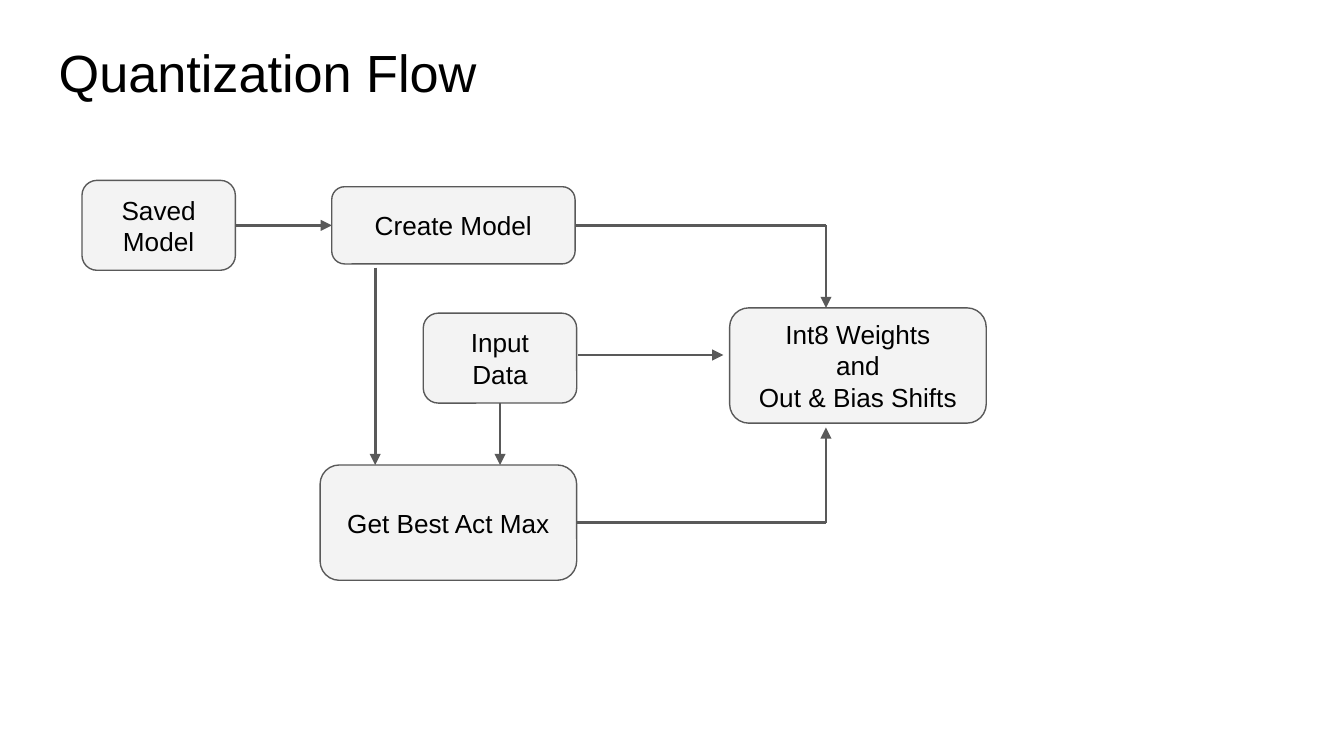
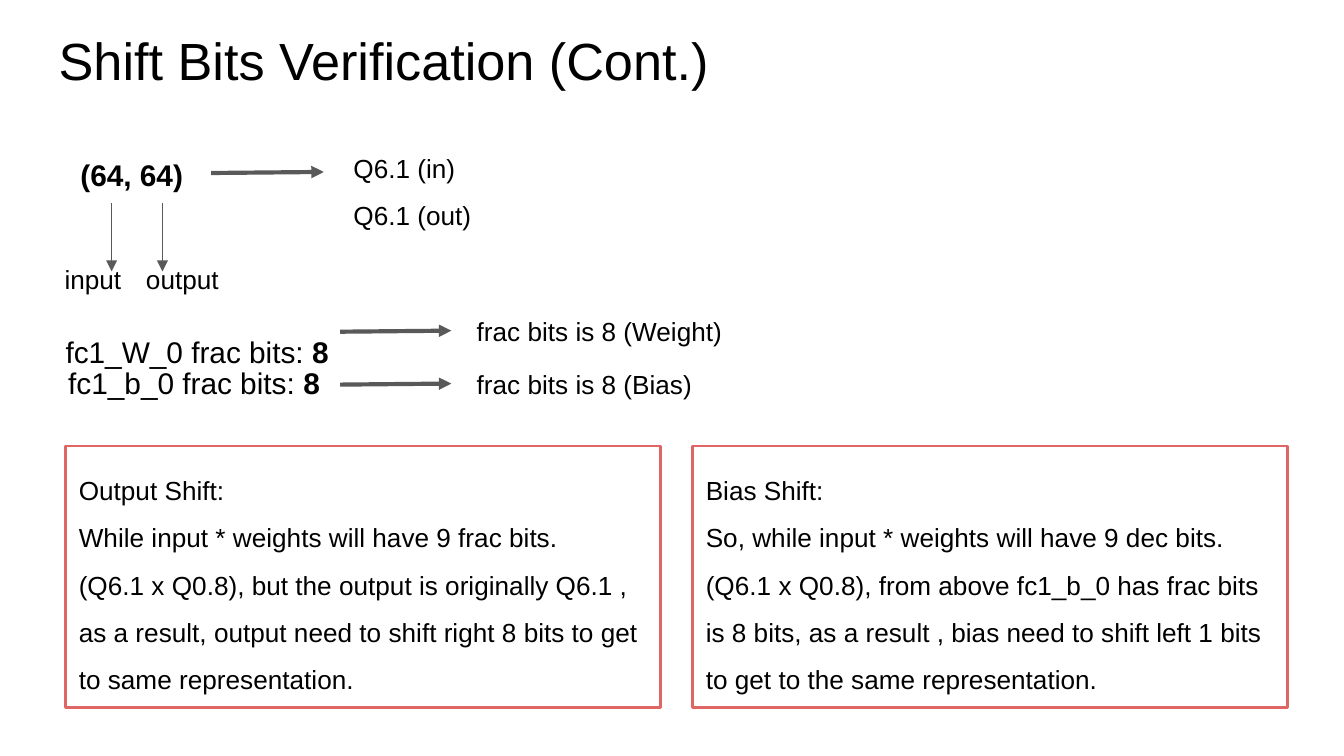
import dataclasses

import lxml.etree
import pptx
import pptx.dml.color
import pptx.enum.shapes
import pptx.enum.text
import pptx.oxml.ns
import pptx.util

Cm = pptx.util.Cm
Pt = pptx.util.Pt
qn = pptx.oxml.ns.qn
ALIGN = pptx.enum.text.PP_ALIGN
ANCHOR = pptx.enum.text.MSO_ANCHOR
SHAPE = pptx.enum.shapes.MSO_SHAPE
STRAIGHT = pptx.enum.shapes.MSO_CONNECTOR.STRAIGHT
TITLE_ONLY = 5
BOTTOM, LEFT, RIGHT = 2, 1, 3


@dataclasses.dataclass(frozen=True)
class Theme:
    font: str = "Arial"
    text: str = "000000"
    line: str = "595959"
    node: str = "F3F3F3"
    frame: str = "E06666"
    title_size: float = 28
    label_size: float = 16
    body_size: float = 14
    inset: float = 0.25
    spacing: float = 1.5


@dataclasses.dataclass(frozen=True)
class Box:
    """An area of the slide, in centimetres."""
    left: float
    top: float
    width: float
    height: float

    def inner(self, left, top, width, height):
        return Box(self.left + left, self.top + top, width, height)

    def point(self, x, y):
        return Cm(self.left + x), Cm(self.top + y)

    def lengths(self):
        return [Cm(value) for value in dataclasses.astuple(self)]


THEME = Theme()


def color(name):
    return pptx.dml.color.RGBColor.from_string(name)


# Shared parts
def write_text(shape, text, *, size=THEME.body_size, bold=False, bold_end="",
               align=ALIGN.LEFT, anchor=ANCHOR.TOP, spacing=None):
    """Write one paragraph per line of text; bold_end is a bold last run."""
    frame = shape.text_frame
    frame.text = text
    frame.word_wrap = True
    frame.auto_size = pptx.enum.text.MSO_AUTO_SIZE.NONE
    frame.vertical_anchor = anchor
    frame.margin_left = frame.margin_right = Cm(THEME.inset)
    frame.margin_top = frame.margin_bottom = Cm(THEME.inset)
    for paragraph in frame.paragraphs:
        paragraph.alignment = align
        if spacing:
            paragraph.line_spacing = spacing
        for run in paragraph.runs:
            run.font.bold = bold
    if bold_end:
        run = frame.paragraphs[-1].add_run()
        run.text = bold_end
        run.font.bold = True
    for paragraph in frame.paragraphs:
        for run in paragraph.runs:
            run.font.name = THEME.font
            run.font.size = Pt(size)
            run.font.color.rgb = color(THEME.text)


def add_text(slide, box, text, **text_format):
    write_text(slide.shapes.add_textbox(*box.lengths()), text, **text_format)


def add_panel(shapes, kind, box, text, *, line, width, fill=None, **text_format):
    shape = shapes.add_shape(kind, *box.lengths())
    shape.shadow.inherit = False
    if fill:
        shape.fill.solid()
        shape.fill.fore_color.rgb = color(fill)
    else:
        shape.fill.background()
    shape.line.color.rgb = color(line)
    shape.line.width = Pt(width)
    write_text(shape, text, **text_format)
    return shape


def add_line(shapes, box, start, end, *, width=1.5, arrow=True,
             begin=None, finish=None):
    """Draw a line; begin and finish are (shape, side) pairs to join."""
    connector = shapes.add_connector(
        STRAIGHT, *box.point(*start), *box.point(*end))
    if begin:
        connector.begin_connect(*begin)
    if finish:
        connector.end_connect(*finish)
    connector.line.color.rgb = color(THEME.line)
    connector.line.width = Pt(width)
    properties = connector.element.spPr
    if arrow:
        lxml.etree.SubElement(
            properties.find(qn("a:ln")), qn("a:tailEnd"), type="triangle")
    lxml.etree.SubElement(properties, qn("a:effectLst"))


def add_titled_slide(presentation, text, top):
    slide = presentation.slides.add_slide(
        presentation.slide_layouts[TITLE_ONLY])
    title = slide.shapes.title
    title.left, title.top, title.width, title.height = Box(
        0.86, top, 23.67, 1.6).lengths()
    write_text(title, text, size=THEME.title_size)
    return slide


# Quantization flow
def add_flow(slide, box):
    shapes = slide.shapes.add_group_shape().shapes

    def node(text, *place):
        return add_panel(
            shapes, SHAPE.ROUNDED_RECTANGLE, box.inner(*place), text,
            line=THEME.line, width=0.75, fill=THEME.node,
            align=ALIGN.CENTER, anchor=ANCHOR.MIDDLE)

    small, large = (2.9, 1.7), (4.85, 2.18)
    saved_model = node("Saved Model", 0, 0, *small)
    create_model = node("Create Model", 4.72, 0.12, 4.6, 1.46)
    input_data = node("Input Data", 6.45, 2.51, *small)
    best_max = node("Get Best Act Max", 4.5, 5.38, *large)
    node("Int8 Weights\vand\vOut & Bias Shifts", 12.24, 2.41, *large)

    turn = 14.06
    add_line(shapes, box, (2.9, 0.85), (4.72, 0.85),
             begin=(saved_model, RIGHT), finish=(create_model, LEFT))
    add_line(shapes, box, (5.54, 1.65), (5.54, 5.38))
    add_line(shapes, box, (7.9, 4.21), (7.9, 5.38),
             begin=(input_data, BOTTOM))
    add_line(shapes, box, (9.37, 3.3), (12.12, 3.3))
    # Bent routes into the result
    for source, x, y, end in ((create_model, 9.32, 0.85, 2.41),
                              (best_max, 9.35, 6.47, 4.67)):
        add_line(shapes, box, (x, y), (turn, y), arrow=False,
                 begin=(source, RIGHT))
        add_line(shapes, box, (turn, y), (turn, end))


# Shift bits verification
def add_formats(slide, box):
    add_text(slide, box.inner(0.3, 0.38, 2.72, 1.12), "(64, 64)",
             size=THEME.label_size, bold=True)
    add_line(slide.shapes, box, (3.02, 0.93), (5.15, 0.91), width=2.25)
    add_text(slide, box.inner(5.46, 0, 7.14, 2.13), "Q6.1 (in)\nQ6.1 (out)",
             spacing=THEME.spacing)
    for name, left, arrow_x in (("input", 0, 1.14), ("output", 1.54, 2.1)):
        add_line(slide.shapes, box, (arrow_x, 1.5), (arrow_x, 2.79), width=0.75)
        add_text(slide, box.inner(left, 2.38, 2.36, 1.12), name)


def add_fraction_bits(slide, box):
    rows = (("fc1_W_0", "Weight", 0, 0, THEME.spacing),
            ("fc1_b_0", "Bias", 0.05, 0.93, None))
    for index, (name, kind, left, top, spacing) in enumerate(rows):
        offset = index * 1.0
        add_text(slide, box.inner(left, top, 5.72, 1.35),
                 f"{name} frac bits: ", bold_end="8",
                 size=THEME.label_size, spacing=spacing)
        add_line(slide.shapes, box, (5.44, 0.55 + offset),
                 (7.54, 0.53 + offset), width=2.25)
        add_text(slide, box.inner(7.77, offset, 5.72, 1.12),
                 f"frac bits is 8 ({kind})")


def add_shift_notes(slide, box):
    notes = (
        "Output Shift:\n"
        "While input * weights will have 9 frac bits.\n"
        "(Q6.1 x Q0.8), but the output is originally Q6.1 , as a result, "
        "output need to shift right 8 bits to get to same representation.",
        "Bias Shift:\n"
        "So, while input * weights will have 9 dec bits.\n"
        "(Q6.1 x Q0.8), from above fc1_b_0 has frac bits is 8 bits, "
        "as a result , bias need to shift left 1 bits to get to the same "
        "representation.")
    gap = 0.6
    width = (box.width - gap) / len(notes)
    for index, note in enumerate(notes):
        add_panel(slide.shapes, SHAPE.RECTANGLE,
                  box.inner(index * (width + gap), 0, width, box.height), note,
                  line=THEME.frame, width=1.5, spacing=THEME.spacing)


def main():
    presentation = pptx.Presentation()
    presentation.slide_width = Cm(25.4)
    presentation.slide_height = Cm(14.29)

    flow = add_titled_slide(presentation, "Quantization Flow", 0.51)
    add_flow(flow, Box(1.55, 3.41, 17.09, 7.56))

    shift = add_titled_slide(
        presentation, "Shift Bits Verification (Cont.)", 0.28)
    add_formats(shift, Box(0.97, 2.34, 12.6, 3.5))
    add_fraction_bits(shift, Box(0.99, 5.72, 13.49, 2.28))
    add_shift_notes(shift, Box(1.24, 8.43, 23.1, 4.95))

    presentation.save("out.pptx")


if __name__ == "__main__":
    main()
